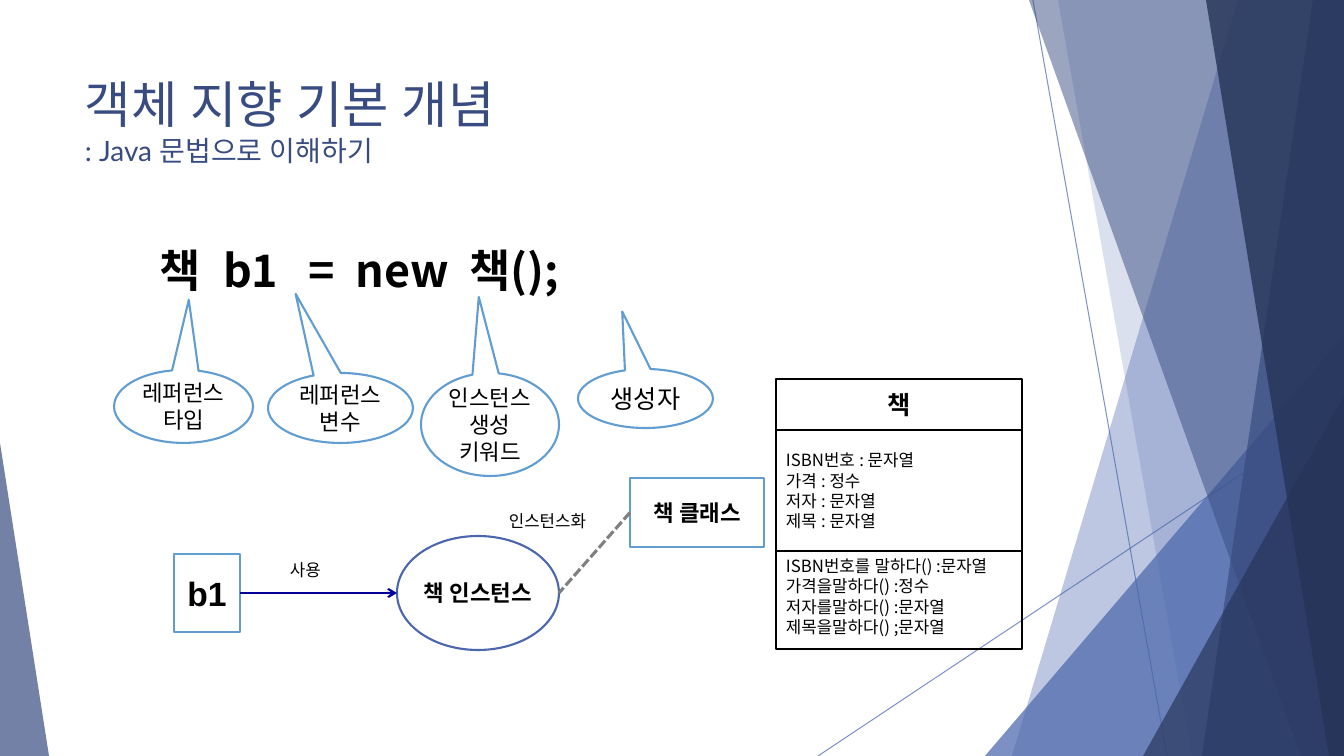
from lxml.etree import SubElement
from pptx import Presentation
from pptx.dml.color import RGBColor
from pptx.enum.dml import MSO_LINE
from pptx.enum.shapes import MSO_CONNECTOR, MSO_SHAPE as SHAPE
from pptx.enum.text import MSO_ANCHOR as ANCHOR, PP_ALIGN as ALIGN
from pptx.oxml.ns import qn
from pptx.util import Pt

PX = 914400 / 100.8
NOTO = "Noto Sans CJK KR"
rgb = RGBColor.from_string


def paint(fmt, color, alpha=100):
    fmt.solid()
    fmt.fore_color.rgb = rgb(color)
    if alpha < 100:
        clr = fmt._xPr.find(qn("a:solidFill"))[0]
        SubElement(clr, qn("a:alpha")).set("val", str(alpha * 1000))


def write(sp, lines, size, font, color="000000", bold=False, align=ALIGN.LEFT,
          anchor=ANCHOR.TOP, wrap=False, inset=None):
    tf = sp.text_frame
    frame = {"word_wrap": wrap, "vertical_anchor": anchor}
    if inset is not None:
        frame.update(dict.fromkeys(
            ["margin_left", "margin_top", "margin_right", "margin_bottom"], inset))
    for name, value in frame.items():
        setattr(tf, name, value)
    for i, line in enumerate(lines):
        p = tf.paragraphs[0] if i == 0 else tf.add_paragraph()
        p.alignment = align
        p.line_spacing = Pt(size * 1.2)
        r = p.add_run()
        r.text = line
        for name, value in {"size": Pt(size), "bold": bold, "name": font}.items():
            setattr(r.font, name, value)
        r.font.color.rgb = rgb(color)
        SubElement(r._r.rPr, qn("a:ea")).set("typeface", "Lato")


prs = Presentation()
prs.slide_width, prs.slide_height = round(1344 * PX), round(756 * PX)
s = prs.slides.add_slide(prs.slide_layouts[6])

for ends in [(1033, 0, 1167, 756), (1344, 406, 818, 756)]:
    cn = s.shapes.add_connector(MSO_CONNECTOR.STRAIGHT, *[round(v * PX) for v in ends])
    cn.line.width = Pt(0.75)
    paint(cn.line.fill, "4A66AC", 70)
    SubElement(cn._element.spPr, qn("a:effectLst"))

facets = [
    ([(1238, 0), (1344, 0), (1344, 756), (1012, 756)], "4A66AC", 36),
    ([(1058, 0), (1344, 0), (1344, 756), (1192, 756)], "4A66AC", 20),
    ([(985, 756), (1344, 336), (1344, 756)], "4A66AC", 72),
    ([(1029, 0), (1344, 0), (1344, 756), (1301, 756)], "384C81", 50),
    ([(1313, 0), (1344, 0), (1344, 756), (1202, 756)], "384C81", 70),
    ([(1206, 0), (1344, 0), (1344, 756), (1329, 756)], "253356", 80),
    ([(1143, 756), (1344, 396), (1344, 756)], "253356", 66),
    ([(0, 756), (0, 443), (49, 756)], "384C81", 70),
]
for points, color, alpha in facets:
    if len(points) == 3:
        xs, ys = zip(*points)
        box = min(xs), min(ys), max(xs) - min(xs), max(ys) - min(ys)
        sp = s.shapes.add_shape(SHAPE.ISOSCELES_TRIANGLE, *[round(v * PX) for v in box])
        sp.adjustments[0] = 0 if min(xs) == 0 else 1
    else:
        fb = s.shapes.build_freeform(*points[0], scale=PX)
        fb.add_line_segments(points[1:], close=True)
        sp = fb.convert_to_shape()
    paint(sp.fill, color, alpha)
    sp.line.fill.background()
    sp.shadow.inherit = False

title = s.shapes.add_textbox(*[round(v * PX) for v in (75, 68, 948, 145)])
title.text_frame.word_wrap = True
p = title.text_frame.paragraphs[0]
for text, size in [("객체 지향 기본 개념", 36), (": Java 문법으로 이해하기", 20)]:
    if p.runs:
        p.add_line_break()
    r = p.add_run()
    r.text = text
    r.font.size, r.font.name = Pt(size), "Lato"
    r.font.color.rgb = rgb("384C81")
    SubElement(r._r.rPr, qn("a:ea")).set("typeface", "Lato")

labels = [
    ((150, 238, 474, 65), "책  b1   =  new  책();", 32, NOTO, True),
    ((499, 506, 105, 30), "인스턴스화", 12, "Arial", False),
    ((280, 555, 54, 30), "사용", 12, "Arial", False),
]
for box, text, size, font, bold in labels:
    tb = s.shapes.add_textbox(*[round(v * PX) for v in box])
    write(tb, [text], size, font, bold=bold)

CALLOUT = SHAPE.OVAL_CALLOUT
nodes = [
    (CALLOUT, (114, 370, 139, 73), (0.038, -1.462), ["레퍼런스", "타입"], 16, "629DD1"),
    (CALLOUT, (268, 373, 145, 70), (-0.309, -1.63), ["레퍼런스", "변수"], 16, "629DD1"),
    (CALLOUT, (421, 373, 138, 103), (-0.081, -1.239), ["인스턴스", "생성", "키워드"], 16, "629DD1"),
    (CALLOUT, (578, 369, 135, 59), (-0.172, -1.474), ["생성자"], 18, "629DD1"),
    (SHAPE.RECTANGLE, (630, 478, 134, 69), (), ["책 클래스"], 16, "629DD1"),
    (SHAPE.OVAL, (397, 536, 162, 114), (), ["책 인스턴스"], 16, "4A66AC"),
    (SHAPE.RECTANGLE, (174, 554, 66, 78), (), ["b1"], 24, "629DD1"),
]
drawn = {}
for kind, box, adjust, lines, size, edge in nodes:
    sp = s.shapes.add_shape(kind, *[round(v * PX) for v in box])
    for i, value in enumerate(adjust):
        sp.adjustments[i] = value
    sp.shadow.inherit = False
    paint(sp.fill, "FFFFFF")
    paint(sp.line.fill, edge)
    sp.line.width = Pt(1.5)
    callout = kind == CALLOUT
    write(sp, lines, size, NOTO if callout else "Arial", bold=not callout,
          align=ALIGN.CENTER, anchor=ANCHOR.MIDDLE, inset=0)
    drawn[lines[0]] = sp

links = [
    ("b1", 3, (240, 593, 397, 593), "000099", 1.5),
    ("책 클래스", 1, (630, 512, 559, 593), "808080", 2.25),
]
for start, site, ends, color, width in links:
    cn = s.shapes.add_connector(MSO_CONNECTOR.STRAIGHT, *[round(v * PX) for v in ends])
    cn.begin_connect(drawn[start], site)
    cn.line.width = Pt(width)
    paint(cn.line.fill, color)
    if start == "b1":
        SubElement(cn.line._get_or_add_ln(), qn("a:tailEnd")).set("type", "arrow")
    else:
        cn.line.dash_style = MSO_LINE.SQUARE_DOT
    SubElement(cn._element.spPr, qn("a:effectLst"))

fields = ["ISBN번호 : 문자열", "가격 : 정수", "저자 : 문자열", "제목 : 문자열"]
methods = ["ISBN번호를 말하다() :문자열", "가격을말하다() :정수",
           "저자를말하다() :문자열", "제목을말하다() ;문자열"]
sections = [
    (51, ["책"], 18, "Lato", True, ALIGN.CENTER, ANCHOR.MIDDLE),
    (121, fields, 12, NOTO, False, ALIGN.LEFT, ANCHOR.MIDDLE),
    (98, methods, 12, NOTO, False, ALIGN.LEFT, ANCHOR.TOP),
]
top = 379
for height, lines, size, font, bold, align, anchor in sections:
    sp = s.shapes.add_shape(SHAPE.RECTANGLE, *[round(v * PX) for v in (776, top, 246, height)])
    sp.shadow.inherit = False
    sp.fill.background()
    paint(sp.line.fill, "000000")
    sp.line.width = Pt(1.5)
    write(sp, lines, size, font, bold=bold, align=align, anchor=anchor, wrap=True)
    top += height

prs.save("out.pptx")
